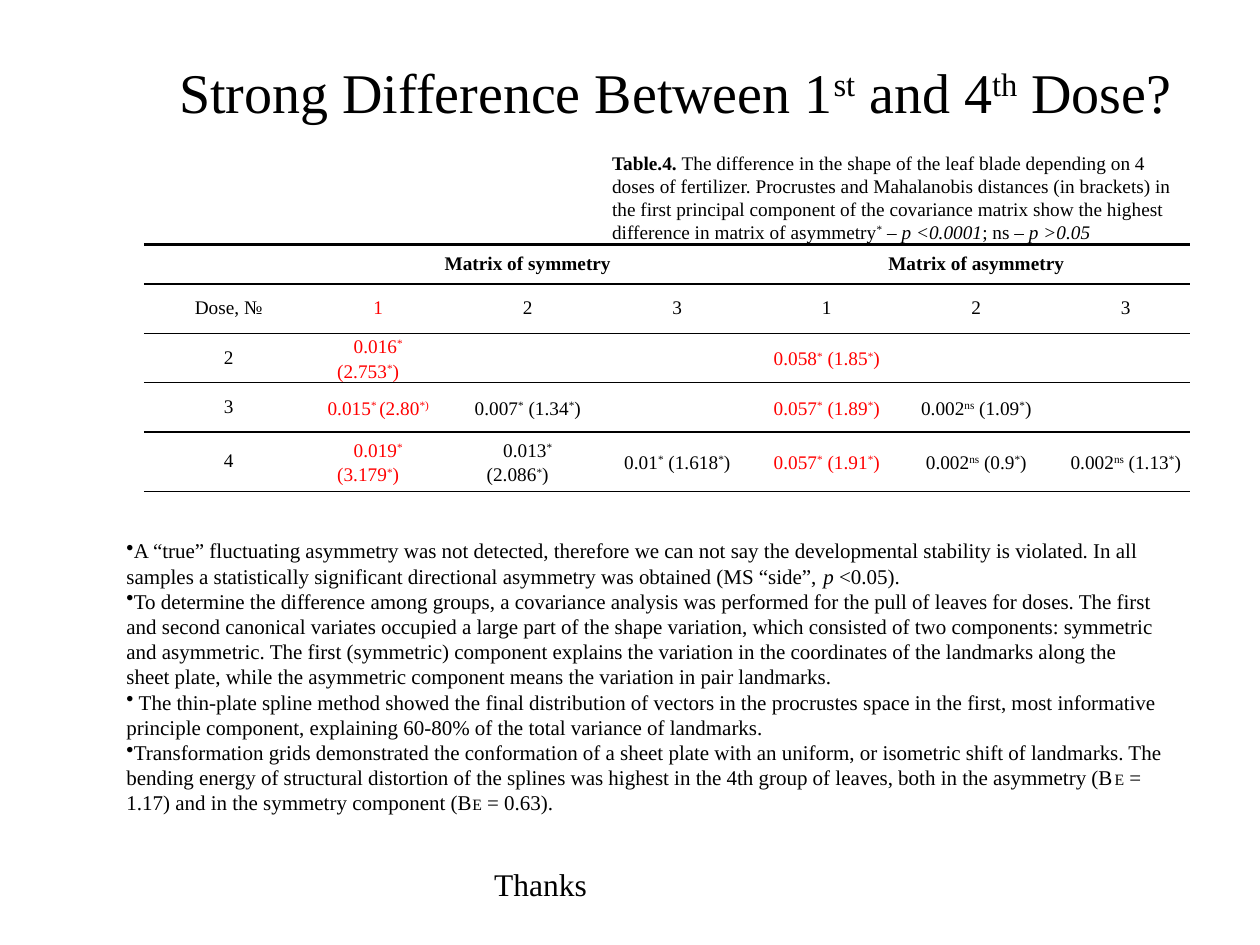
from lxml.etree import SubElement
from pptx import Presentation
from pptx.dml.color import RGBColor
from pptx.enum.text import MSO_ANCHOR, PP_ALIGN
from pptx.oxml.ns import qn
from pptx.util import Pt

BLACK, RED = "000000", "FF0000"
FONT = "Times New Roman"
ITALIC, SMALL = {"italic": True}, {"size": Pt(9)}
CAPTION = [
    ("Table.4. ", {"bold": True}),
    ("The difference in the shape of the leaf blade depending on 4 doses of fertilizer. "
     "Procrustes and Mahalanobis distances (in brackets) in the first principal component "
     "of the covariance matrix show the highest difference in matrix of asymmetry^*^ – ", {}),
    ("p <0.0001", ITALIC), ("; ns – ", {}), ("p >0.05", ITALIC),
]
FINDINGS = [
    [("A “true” fluctuating asymmetry was not detected, therefore we can not say the "
      "developmental stability is violated. In all samples a statistically significant "
      "directional asymmetry was obtained (MS “side”, ", {}), ("p", ITALIC), (" <0.05).", {})],
    [("To determine the difference among groups, a covariance analysis was performed for the "
      "pull of leaves for doses. The first and second canonical variates occupied a large part "
      "of the shape variation, which consisted of two components: symmetric and asymmetric. "
      "The first (symmetric) component explains the variation in the coordinates of the "
      "landmarks along the sheet plate, while the asymmetric component means the variation "
      "in pair landmarks.", {})],
    [(" The thin-plate spline method showed the final distribution of vectors in the "
      "procrustes space in the first, most informative principle component, explaining "
      "60-80% of the total variance of landmarks.", {})],
    [("Transformation grids demonstrated the conformation of a sheet plate with an uniform, or "
      "isometric shift of landmarks. The bending energy of structural distortion of the splines "
      "was highest in the 4th group of leaves, both in the asymmetry (B", {}), ("E", SMALL),
     (" = 1.17) and in the symmetry component (B", {}), ("E", SMALL), (" = 0.63).", {})],
]
ROWS = [
    ["", "Matrix of symmetry", "", "", "Matrix of asymmetry", "", ""],
    ["Dose, №", "1", "2", "3", "1", "2", "3"],
    ["2", "0.016^*^ (2.753^*^)", "", "", "0.058^*^ (1.85^*^)", "", ""],
    ["3", "0.015^* ^(2.80^*)^", "0.007^*^ (1.34^*^)", "",
     "0.057^*^ (1.89^*^)", "0.002^ns^ (1.09^*^)", ""],
    ["4", "0.019^* ^(3.179^*^)", "0.013^*^ (2.086^*^)", "0.01^*^ (1.618^*^)",
     "0.057^*^ (1.91^*^)", "0.002^ns^ (0.9^*^)", "0.002^ns^ (1.13^*^)"],
]
ROW_HEIGHTS = [22.6, 28.2, 28.2, 28.2, 34]
RED_CELLS = {(1, 1)} | {(row, column) for row in (2, 3, 4) for column in (1, 4)}


def colour(value):
    """Turn a hex string into a colour."""
    return RGBColor.from_string(value)


def apply_format(target, values):
    """Set every attribute named in a dict of format values."""
    for name, value in values.items():
        setattr(target, name, value)


def add_spans(para, text, size, hex_colour=BLACK, **extra):
    """Add text to a paragraph, raising the parts between carets."""
    for number, part in enumerate(text.split("^")):
        if part:
            span = para.add_run()
            span.text = part
            apply_format(span.font, {"name": FONT, "size": Pt(size), **extra})
            span.font.color.rgb = colour(hex_colour)
            if number % 2:
                span._r.get_or_add_rPr().set("baseline", "30000")


def set_bullet(para):
    """Give a paragraph an inline round bullet."""
    properties = para._p.get_or_add_pPr()
    properties.set("marL", "0")
    properties.set("indent", "0")
    SubElement(properties, qn("a:buChar")).set("char", "•")


def add_text(page, place, paragraphs, size, align=PP_ALIGN.LEFT, bullets=False):
    """Add a wrapped text box made of paragraphs of formatted spans."""
    frame = page.shapes.add_textbox(*map(Pt, place)).text_frame
    frame.word_wrap = True
    for number, spans in enumerate(paragraphs):
        para = frame.add_paragraph() if number else frame.paragraphs[0]
        para.alignment = align
        if bullets:
            set_bullet(para)
        for text, extra in spans:
            add_spans(para, text, **{"size": size}, **{}) if not extra else add_styled(
                para, text, size, extra)


def add_styled(para, text, size, extra):
    """Add one span whose format overrides the base size."""
    values = dict(extra)
    add_spans(para, text, values.pop("size", Pt(size)).pt, **values)


def set_borders(cell, top, bottom):
    """Draw horizontal cell borders and hide the vertical ones."""
    properties = cell._tc.get_or_add_tcPr()
    for side, width in {"L": 0, "R": 0, "T": top, "B": bottom}.items():
        line = SubElement(properties, qn(f"a:ln{side}"))
        line.set("w", str(Pt(width)))
        if width:
            fill = SubElement(line, qn("a:solidFill"))
            SubElement(fill, qn("a:srgbClr")).set("val", BLACK)
        else:
            SubElement(line, qn("a:noFill"))


def fill_cell(cell, text, row, column):
    """Format one table cell and write its text."""
    set_borders(cell, 1.5 if row < 2 else 1, 1.5 if row == 0 else 1)
    cell.fill.background()
    apply_format(cell, {
        "margin_left": Pt(5), "margin_right": Pt(5), "margin_top": 0, "margin_bottom": 0,
        "vertical_anchor": MSO_ANCHOR.MIDDLE,
    })
    para = cell.text_frame.paragraphs[0]
    is_value = row > 1 and column > 0
    apply_format(para, {"alignment": PP_ALIGN.CENTER, "line_spacing": Pt(14 if is_value else 12)})
    para._p.get_or_add_pPr().set("indent", str(Pt(11.5)))
    add_spans(para, text, 11, RED if (row, column) in RED_CELLS else BLACK, bold=row == 0)


def add_distances(page):
    """Add the table of distances between doses."""
    place = map(Pt, (82.2, 139.7, 598.2, sum(ROW_HEIGHTS)))
    table = page.shapes.add_table(len(ROWS), len(ROWS[0]), *place).table
    apply_format(table, {"first_row": False, "horz_banding": False})
    for column in table.columns:
        column.width = Pt(598.2 / len(ROWS[0]))
    for row, (height, texts) in enumerate(zip(ROW_HEIGHTS, ROWS)):
        table.rows[row].height = Pt(height)
        for column, text in enumerate(texts):
            fill_cell(table.cell(row, column), text, row, column)
    for first in (1, 4):
        table.cell(0, first).merge(table.cell(0, first + 2))


def set_title(page, text):
    """Place and format the title placeholder."""
    title = page.shapes.title
    apply_format(title, {"left": Pt(87.8), "top": Pt(21.6), "width": Pt(596.2), "height": Pt(61.2)})
    apply_format(title.text_frame, {"word_wrap": True, "vertical_anchor": MSO_ANCHOR.MIDDLE})
    para = title.text_frame.paragraphs[0]
    para.alignment = PP_ALIGN.CENTER
    add_spans(para, text, 32)


def main():
    """Build the slide and save it."""
    deck = Presentation()
    apply_format(deck, {"slide_width": Pt(720), "slide_height": Pt(540)})
    page = deck.slides.add_slide(deck.slide_layouts[5])
    set_title(page, "Strong Difference Between 1^st^ and 4^th^ Dose?")
    add_distances(page)
    add_text(page, (342.7, 82.8, 345.6, 74.2), [CAPTION], 11)
    add_text(page, (65.2, 303.8, 607, 170), FINDINGS, 12, bullets=True)
    add_text(page, (93.6, 491, 430.6, 28.8), [[("Thanks", {})]], 18, PP_ALIGN.CENTER)
    deck.save("out.pptx")


main()
